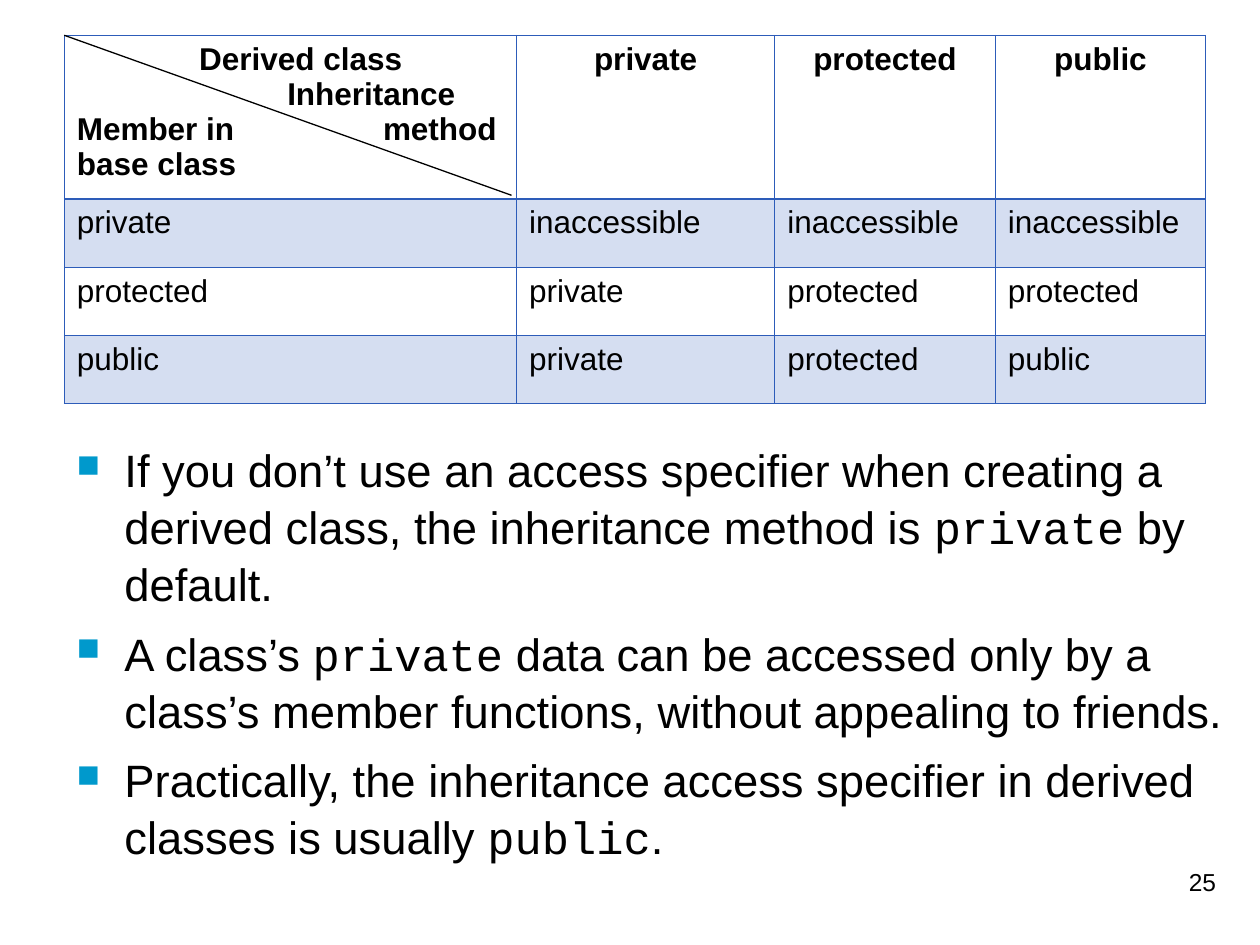
from dataclasses import dataclass

from lxml.etree import SubElement
from pptx import Presentation
from pptx.dml.color import RGBColor
from pptx.enum.shapes import MSO_CONNECTOR
from pptx.enum.text import PP_ALIGN
from pptx.oxml import parse_xml
from pptx.oxml.ns import nsdecls, qn
from pptx.util import Inches, Pt


@dataclass(frozen=True)
class Theme:
    ink: str = "000000"
    accent: str = "2D5CB9"
    bullet: str = "0099CC"
    body_font: str = "Arial"
    code_font: str = "Courier New"
    table_size: float = 18
    body_size: float = 25.9
    number_size: float = 14
    band_alpha: int = 20
    grid_width: float = 0.45
    header_rule_width: float = 0.96


THEME = Theme()

COLUMN_WIDTHS = [3.59, 2.05, 1.75, 1.67]
ROW_HEIGHTS = [1.3, 0.54, 0.54, 0.54]
HEADINGS = ["private", "protected", "public"]
ACCESS_ROWS = [
    ["private", "inaccessible", "inaccessible", "inaccessible"],
    ["protected", "private", "protected", "protected"],
    ["public", "private", "protected", "public"],
]
# Each corner line: text, left indent
CORNER_LINES = [
    ("Derived class", 0.97),
    ("Inheritance", 1.67),
    ("Member in\tmethod", 0),
    ("base class", 0),
]
METHOD_TAB = 2.43

# Spans alternate between body text and code
NOTES = [
    ["If you don’t use an access specifier when creating a derived class, "
     "the inheritance method is ", "private", " by default."],
    ["A class’s ", "private", " data can be accessed only by a class’s member "
     "functions, without appealing to friends."],
    ["Practically, the inheritance access specifier in derived classes is "
     "usually ", "public", "."],
]


def apply_format(target, values):
    for name, value in values.items():
        setattr(target, name, value)


def add_span(para, text, size, font=THEME.body_font, bold=False):
    span = para.add_run()
    span.text = text
    apply_format(span.font, {"name": font, "size": Pt(size), "bold": bold})
    span.font.color.rgb = RGBColor.from_string(THEME.ink)


def add_text_box(page, box):
    frame = page.shapes.add_textbox(*(Inches(length) for length in box)).text_frame
    frame.word_wrap = True
    return frame


def set_borders(cell, row):
    properties = cell._tc.get_or_add_tcPr()
    rule_side = {0: "B", 1: "T"}.get(row)
    for index, side in enumerate("LRTB"):
        points = THEME.header_rule_width if side == rule_side else THEME.grid_width
        properties.insert(index, parse_xml(
            f'<a:ln{side} {nsdecls("a")} w="{Pt(points)}"><a:solidFill>'
            f'<a:srgbClr val="{THEME.accent}"/></a:solidFill></a:ln{side}>'))


def set_cell_fill(cell, banded):
    if not banded:
        cell.fill.background()
        return
    cell.fill.solid()
    cell.fill.fore_color.rgb = RGBColor.from_string(THEME.accent)
    color = cell._tc.tcPr.find(qn("a:solidFill")).find(qn("a:srgbClr"))
    SubElement(color, qn("a:alpha"), val=str(THEME.band_alpha * 1000))


def fill_corner(cell):
    frame = cell.text_frame
    for index, (text, indent) in enumerate(CORNER_LINES):
        para = frame.add_paragraph() if index else frame.paragraphs[0]
        properties = para._p.get_or_add_pPr()
        properties.set("marL", str(Inches(indent)))
        if "\t" in text:
            tabs = SubElement(properties, qn("a:tabLst"))
            SubElement(tabs, qn("a:tab"), pos=str(Inches(METHOD_TAB)), algn="l")
        add_span(para, text, THEME.table_size, bold=True)


def add_access_table(page, box):
    table = page.shapes.add_table(
        len(ROW_HEIGHTS), len(COLUMN_WIDTHS),
        *(Inches(length) for length in box)).table
    apply_format(table, {"first_row": False, "horz_banding": False})
    for column, width in zip(table.columns, COLUMN_WIDTHS):
        column.width = Inches(width)
    for row, height in zip(table.rows, ROW_HEIGHTS):
        row.height = Inches(height)
    for row, texts in enumerate([[None, *HEADINGS], *ACCESS_ROWS]):
        for column, text in enumerate(texts):
            cell = table.cell(row, column)
            set_borders(cell, row)
            set_cell_fill(cell, banded=row % 2 == 1)
            if text is None:
                fill_corner(cell)
                continue
            para = cell.text_frame.paragraphs[0]
            para.alignment = PP_ALIGN.LEFT if row else PP_ALIGN.CENTER
            add_span(para, text, THEME.table_size, bold=row == 0)


def add_corner_diagonal(page, box):
    left, top, width, height = box
    line = page.shapes.add_connector(
        MSO_CONNECTOR.STRAIGHT, Inches(left), Inches(top),
        Inches(left + width), Inches(top + height))
    line.line.color.rgb = RGBColor.from_string(THEME.ink)
    line.line.width = Pt(0.75)
    SubElement(line._element.spPr, qn("a:effectLst"))


def add_bullet(para):
    properties = para._p.get_or_add_pPr()
    apply_indent = {"marL": Inches(0.38), "indent": Inches(-0.38)}
    for name, value in apply_indent.items():
        properties.set(name, str(value))
    color = SubElement(properties, qn("a:buClr"))
    SubElement(color, qn("a:srgbClr"), val=THEME.bullet)
    SubElement(properties, qn("a:buSzPct"), val="70000")
    SubElement(properties, qn("a:buChar"), char="■")


def add_notes(page, box):
    frame = add_text_box(page, box)
    for index, spans in enumerate(NOTES):
        para = frame.add_paragraph() if index else frame.paragraphs[0]
        add_bullet(para)
        apply_format(para, {"line_spacing": 1.05,
                            "space_before": Pt(7 if index else 0)})
        for position, text in enumerate(spans):
            font = THEME.code_font if position % 2 else THEME.body_font
            add_span(para, text, THEME.body_size, font)


def add_page_number(page, box):
    para = add_text_box(page, box).paragraphs[0]
    para.alignment = PP_ALIGN.RIGHT
    add_span(para, "25", THEME.number_size)


def main():
    deck = Presentation()
    apply_format(deck, {"slide_width": Inches(10), "slide_height": Inches(7.5)})
    page = deck.slides.add_slide(deck.slide_layouts[6])
    add_page_number(page, (7.67, 6.83, 2.08, 0.5))
    add_access_table(page, (0.51, 0.28, sum(COLUMN_WIDTHS), sum(ROW_HEIGHTS)))
    add_corner_diagonal(page, (0.51, 0.28, 3.55, 1.27))
    add_notes(page, (0.51, 3.44, 9.3, 3.9))
    deck.save("out.pptx")


if __name__ == "__main__":
    main()
